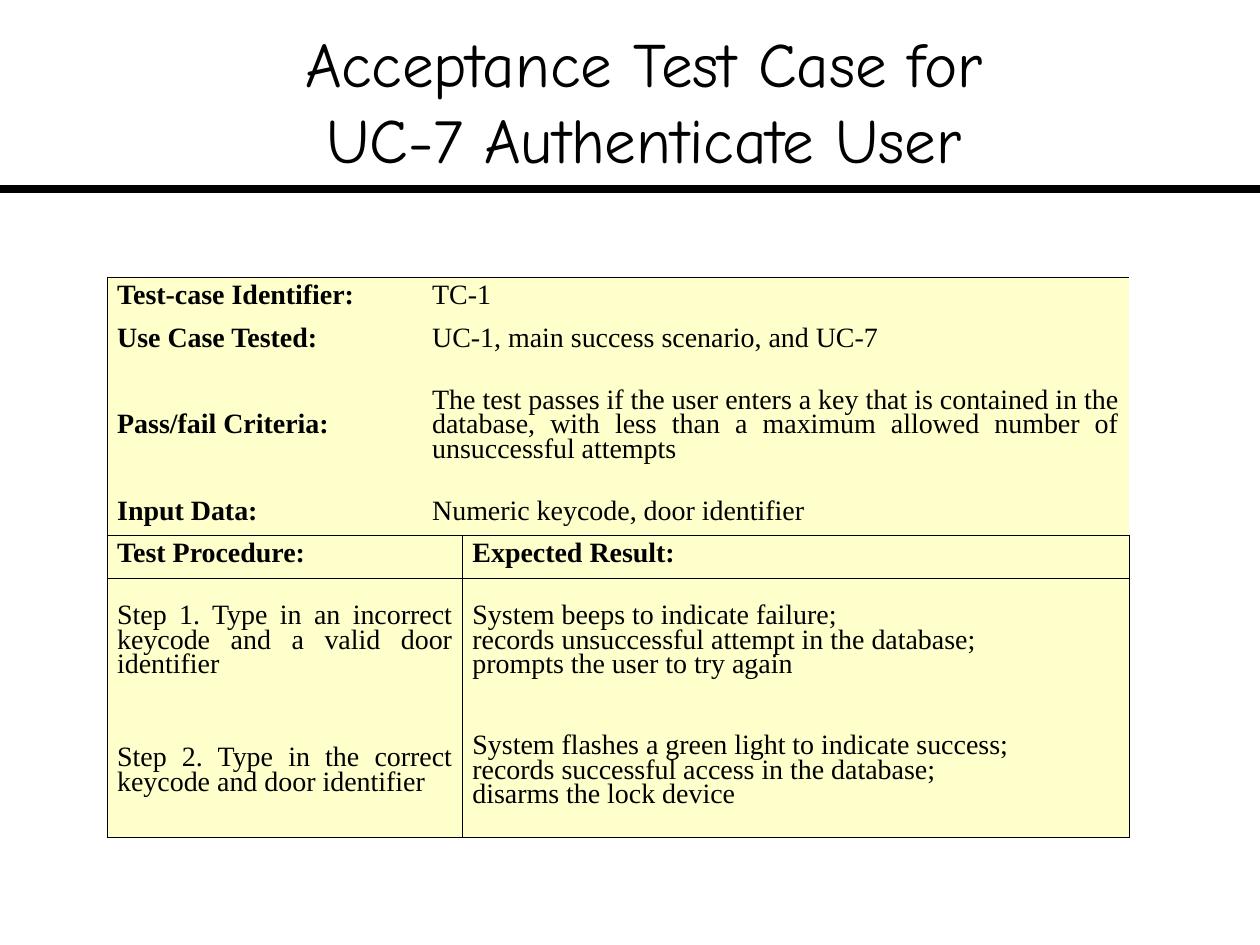
from dataclasses import dataclass

from lxml import etree
from pptx import Presentation
from pptx import util as u
from pptx.dml.color import RGBColor
from pptx.enum import shapes, text
from pptx.oxml.ns import qn
from pptx.slide import Slide
from pptx.table import Table, _Cell


@dataclass(frozen=True)
class Theme:
    ink: RGBColor = RGBColor(0x00, 0x00, 0x00)
    cell_fill: RGBColor = RGBColor(0xFF, 0xFF, 0xCC)
    title_font: str = "Comic Neue"
    table_font: str = "Times New Roman"
    title_size: u.Pt = u.Pt(36)
    table_size: u.Pt = u.Pt(16)
    line_spacing: u.Pt = u.Pt(14)
    rule_width: u.Pt = u.Pt(4.5)
    border_width: u.Pt = u.Pt(0.45)


@dataclass(frozen=True)
class CaseRow:
    left: str
    right: str
    height: float = 0.34
    split: int = 2
    bold_right: bool = False
    bold_left: bool = True
    justify_right: bool = True
    top: bool = False
    bottom: bool = False
    divider: bool = False


THEME = Theme()
TALL = 1.03
COLUMN_WIDTHS = (2.5, 0.32, 5.29)
ROWS = (
    CaseRow("Test-case Identifier:", "TC-1", split=1, top=True),
    CaseRow("Use Case Tested:", "UC-1, main success scenario, and UC-7", split=1),
    CaseRow(
        "Pass/fail Criteria:",
        "The test passes if the user enters a key that is contained in the database, "
        "with less than a maximum allowed number of unsuccessful attempts",
        height=TALL, split=1,
    ),
    CaseRow("Input Data:", "Numeric keycode, door identifier", split=1, bottom=True),
    CaseRow("Test Procedure:", "Expected Result:", bold_right=True,
            top=True, bottom=True, divider=True),
    CaseRow(
        "Step 1. Type in an incorrect keycode and a valid door identifier",
        "System beeps to indicate failure;\nrecords unsuccessful attempt in the database;\n"
        "prompts the user to try again",
        height=TALL, bold_left=False, justify_right=False, top=True, divider=True,
    ),
    CaseRow(
        "Step 2. Type in the correct keycode and door identifier",
        "System flashes a green light to indicate success;\n"
        "records successful access in the database;\ndisarms the lock device",
        height=TALL, bold_left=False, justify_right=False, bottom=True, divider=True,
    ),
)


def add_title(slide: Slide, title: str) -> None:
    box = slide.shapes.add_textbox(u.Inches(0.42), u.Inches(0.17), u.Inches(9.38), u.Inches(1.25))
    frame = box.text_frame
    frame.word_wrap = True
    frame.vertical_anchor = text.MSO_ANCHOR.MIDDLE
    frame.margin_left = frame.margin_right = 0
    paragraph = frame.paragraphs[0]
    paragraph.text = title
    paragraph.alignment = text.PP_ALIGN.CENTER
    paragraph.font.name = THEME.title_font
    paragraph.font.size = THEME.title_size
    paragraph.font.color.rgb = THEME.ink


def add_rule(slide: Slide) -> None:
    rule = slide.shapes.add_connector(
        shapes.MSO_CONNECTOR.STRAIGHT, 0, u.Inches(1.5), u.Inches(10), u.Inches(1.5))
    rule.line.color.rgb = THEME.ink
    rule.line.width = THEME.rule_width
    etree.SubElement(rule.element.spPr, qn("a:effectLst"))


def set_borders(cell: _Cell, left: bool, right: bool, top: bool, bottom: bool) -> None:
    properties = cell._tc.get_or_add_tcPr()
    edges = {"a:lnL": left, "a:lnR": right, "a:lnT": top, "a:lnB": bottom}
    for position, (tag, visible) in enumerate(edges.items()):
        line = etree.Element(qn(tag), w=str(THEME.border_width))
        if visible:
            fill = etree.SubElement(line, qn("a:solidFill"))
            etree.SubElement(fill, qn("a:srgbClr"), val=str(THEME.ink))
        else:
            etree.SubElement(line, qn("a:noFill"))
        properties.insert(position, line)


def write_cell(cell: _Cell, content: str, bold: bool, justify: bool) -> None:
    cell.vertical_anchor = text.MSO_ANCHOR.MIDDLE
    cell.margin_left = cell.margin_right = u.Inches(0.08)
    cell.margin_top = cell.margin_bottom = u.Inches(0.05)
    paragraph = cell.text_frame.paragraphs[0]
    paragraph.text = content
    paragraph.alignment = text.PP_ALIGN.JUSTIFY if justify else text.PP_ALIGN.LEFT
    paragraph.line_spacing = THEME.line_spacing
    paragraph.font.name = THEME.table_font
    paragraph.font.size = THEME.table_size
    paragraph.font.bold = bold
    paragraph.font.color.rgb = THEME.ink


def fill_row(table: Table, index: int, row: CaseRow) -> None:
    table.rows[index].height = u.Inches(row.height)
    last = len(COLUMN_WIDTHS) - 1
    cells = [table.cell(index, column) for column in range(last + 1)]
    for column, cell in enumerate(cells):
        cell.fill.solid()
        cell.fill.fore_color.rgb = THEME.cell_fill
        set_borders(
            cell,
            left=column == 0 or (row.divider and column == row.split),
            right=column == last or (row.divider and column == row.split - 1),
            top=row.top,
            bottom=row.bottom,
        )
    if row.split == 1:
        cells[1].merge(cells[last])
    else:
        cells[0].merge(cells[1])
    write_cell(cells[0], row.left, row.bold_left, True)
    write_cell(cells[row.split], row.right, row.bold_right, row.justify_right)


def add_test_case(slide: Slide) -> None:
    frame = slide.shapes.add_table(
        len(ROWS), len(COLUMN_WIDTHS), u.Inches(0.85), u.Inches(2.2),
        u.Inches(sum(COLUMN_WIDTHS)), u.Inches(sum(row.height for row in ROWS)))
    table = frame.table
    table.first_row = table.horz_banding = False
    for column, width in zip(table.columns, COLUMN_WIDTHS):
        column.width = u.Inches(width)
    for index, row in enumerate(ROWS):
        fill_row(table, index, row)


def main() -> None:
    presentation = Presentation()
    presentation.slide_width = u.Inches(10)
    presentation.slide_height = u.Inches(7.5)
    slide = presentation.slides.add_slide(presentation.slide_layouts[6])
    add_rule(slide)
    add_title(slide, "Acceptance Test Case for\nUC-7 Authenticate User")
    add_test_case(slide)
    presentation.save("out.pptx")


if __name__ == "__main__":
    main()
